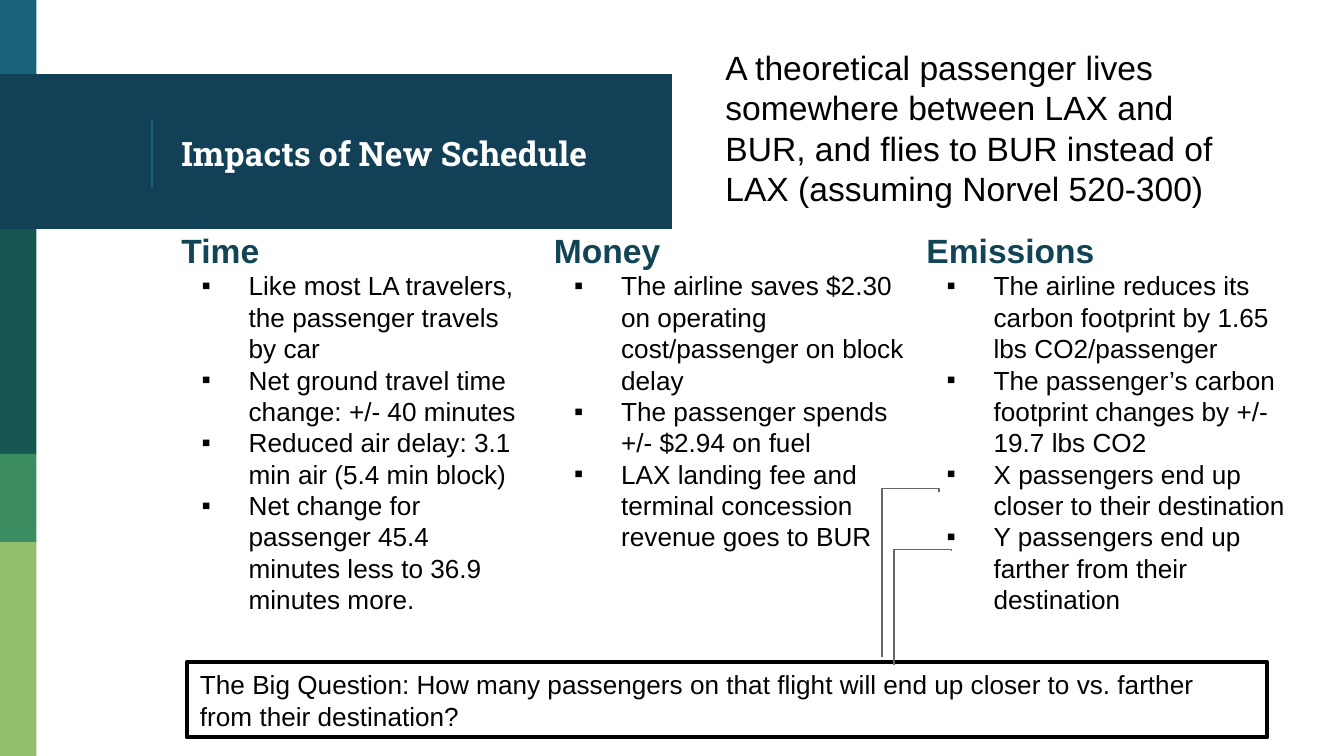
import pptx
import pptx.util
import pptx.dml.color
import pptx.enum.shapes
import pptx.enum.text
import pptx.oxml
import pptx.oxml.ns
from dataclasses import dataclass

Cm, Pt = pptx.util.Cm, pptx.util.Pt
qn = pptx.oxml.ns.qn
SHAPES = pptx.enum.shapes.MSO_SHAPE
CONNECTORS = pptx.enum.shapes.MSO_CONNECTOR
ANCHOR = pptx.enum.text.MSO_ANCHOR
NS = pptx.oxml.ns.nsdecls("a")


@dataclass(frozen=True)
class Theme:
    blue: str = "18637B"
    navy: str = "124057"
    pine: str = "165751"
    green: str = "3B8D61"
    lime: str = "94BF6E"
    heading: str = "114454"
    white: str = "FFFFFF"
    black: str = "000000"
    gray: str = "666666"
    title_font: str = "Roboto Slab"
    body_font: str = "Arial"
    large: int = 18
    small: int = 14
    inset: float = 0.25
    hairline: float = 0.75
    frame: float = 2.25


def rgb(color):
    return pptx.dml.color.RGBColor.from_string(color)


class SlideBuilder:
    def __init__(self, slide, theme):
        self.slide = slide
        self.theme = theme

    def block(self, left, top, width, height, color):
        block = self.slide.shapes.add_shape(
            SHAPES.RECTANGLE, Cm(left), Cm(top), Cm(width), Cm(height))
        block.shadow.inherit = False
        block.fill.solid()
        block.fill.fore_color.rgb = rgb(color)
        block.line.fill.background()

    def prepare(self, frame, anchor):
        frame.word_wrap = True
        frame.vertical_anchor = anchor
        frame.margin_left = frame.margin_right = Cm(self.theme.inset)
        frame.margin_top = frame.margin_bottom = Cm(self.theme.inset)
        return frame

    def text_box(self, left, top, width, height, anchor=ANCHOR.TOP):
        box = self.slide.shapes.add_textbox(Cm(left), Cm(top), Cm(width), Cm(height))
        return self.prepare(box.text_frame, anchor)

    def framed_box(self, left, top, width, height):
        box = self.slide.shapes.add_shape(
            SHAPES.RECTANGLE, Cm(left), Cm(top), Cm(width), Cm(height))
        box.shadow.inherit = False
        box.fill.background()
        box.line.color.rgb = rgb(self.theme.black)
        box.line.width = Pt(self.theme.frame)
        return self.prepare(box.text_frame, ANCHOR.MIDDLE)

    def add_text(self, paragraph, text, size, color, bold=False, font=None):
        paragraph.alignment = pptx.enum.text.PP_ALIGN.LEFT
        run = paragraph.add_run()
        run.text = text
        run.font.name = font or self.theme.body_font
        run.font.size = Pt(size)
        run.font.bold = bold
        run.font.color.rgb = rgb(color)

    def bullet(self, frame, text):
        paragraph = frame.add_paragraph()
        properties = paragraph._p.get_or_add_pPr()
        properties.set("marL", str(Cm(1.27)))
        properties.set("indent", str(-Cm(0.89)))
        for xml in (
            f'<a:buClr {NS}><a:srgbClr val="{self.theme.black}"/></a:buClr>',
            f'<a:buFont {NS} typeface="{self.theme.body_font}"/>',
            f'<a:buChar {NS} char="▪"/>',
        ):
            properties.append(pptx.oxml.parse_xml(xml))
        self.add_text(paragraph, text, self.theme.small, self.theme.black)

    def column(self, left, top, width, height, heading, points):
        frame = self.text_box(left, top, width, height)
        self.add_text(frame.paragraphs[0], heading, self.theme.large,
                      self.theme.heading, bold=True)
        for point in points:
            self.bullet(frame, point)

    def line(self, kind, start, end, color):
        line = self.slide.shapes.add_connector(
            kind, Cm(start[0]), Cm(start[1]), Cm(end[0]), Cm(end[1]))
        line.line.color.rgb = rgb(color)
        line.line.width = Pt(self.theme.hairline)
        line._element.spPr.append(pptx.oxml.parse_xml(f"<a:effectLst {NS}/>"))
        return line

    def elbow(self, start, end, bend):
        """Rise from start, pass the end's height by the bend ratio, then drop to end."""
        rise, reach = start[1] - end[1], end[0] - start[0]
        center_x, center_y = (start[0] + end[0]) / 2, (start[1] + end[1]) / 2
        left, top = center_x - rise / 2, center_y - reach / 2
        elbow = self.line(CONNECTORS.ELBOW, (left, top),
                          (left + rise, top + reach), self.theme.gray)
        properties = elbow._element.spPr
        properties.find(qn("a:xfrm")).set("rot", str(270 * 60000))
        geometry = properties.find(qn("a:prstGeom"))
        for old in geometry.findall(qn("a:avLst")):
            geometry.remove(old)
        geometry.append(pptx.oxml.parse_xml(
            f'<a:avLst {NS}><a:gd name="adj1" fmla="val {round(bend * 100000)}"/></a:avLst>'))


def main():
    theme = Theme()
    presentation = pptx.Presentation()
    presentation.slide_width, presentation.slide_height = Cm(25.4), Cm(14.29)
    page = SlideBuilder(
        presentation.slides.add_slide(presentation.slide_layouts[6]), theme)

    # Side stripes and title band
    stripe_edges = (0, 1.4, 4.33, 8.58, 10.25, 14.29)
    stripe_colors = (theme.blue, theme.navy, theme.pine, theme.green, theme.lime)
    for top, bottom, color in zip(stripe_edges, stripe_edges[1:], stripe_colors):
        width = 12.7 if color == theme.navy else 0.69
        page.block(0, top, width, bottom - top, color)
    page.line(CONNECTORS.STRAIGHT, (2.87, 2.26), (2.87, 3.56), theme.blue)

    # Title
    title = page.text_box(3.18, 1.47, 8.92, 2.84, ANCHOR.MIDDLE)
    page.add_text(title.paragraphs[0], "Impacts of New Schedule", theme.large,
                  theme.white, bold=True, font=theme.title_font)

    # Impact columns
    impacts = (
        ("Time", 7.04, (
            "Like most LA travelers, the passenger travels by car",
            "Net ground travel time change: +/- 40 minutes",
            "Reduced air delay: 3.1 min air (5.4 min block)",
            "Net change for passenger 45.4 minutes less to 36.9 minutes more.")),
        ("Money", 7.39, (
            "The airline saves $2.30 on operating cost/passenger on block delay",
            "The passenger spends +/- $2.94 on fuel",
            "LAX landing fee and terminal concession revenue goes to BUR")),
        ("Emissions", 7.39, (
            "The airline reduces its carbon footprint by 1.65 lbs CO2/passenger",
            "The passenger’s carbon footprint changes by +/- 19.7 lbs CO2",
            "X passengers end up closer to their destination",
            "Y passengers end up farther from their destination")),
    )
    for index, (heading, width, points) in enumerate(impacts):
        page.column(3.18 + 7.04 * index, 4.09, width, 8.76, heading, points)

    # Scenario
    scenario = page.text_box(13.46, 0.64, 10.49, 3.68)
    page.add_text(scenario.paragraphs[0],
                  "A theoretical passenger lives somewhere between LAX and BUR, "
                  "and flies to BUR instead of LAX (assuming Norvel 520-300)",
                  theme.large, theme.black)

    # Big question, linked to the last two emission points
    question = page.framed_box(3.53, 12.52, 20.42, 1.42)
    page.add_text(question.paragraphs[0],
                  "The Big Question: How many passengers on that flight will end up "
                  "closer to vs. farther from their destination?",
                  theme.small, theme.black)
    page.elbow((16.67, 12.42), (17.75, 9.3), 1.02)
    page.elbow((16.9, 12.57), (17.98, 10.41), 1.01)

    presentation.save("out.pptx")


if __name__ == "__main__":
    main()
